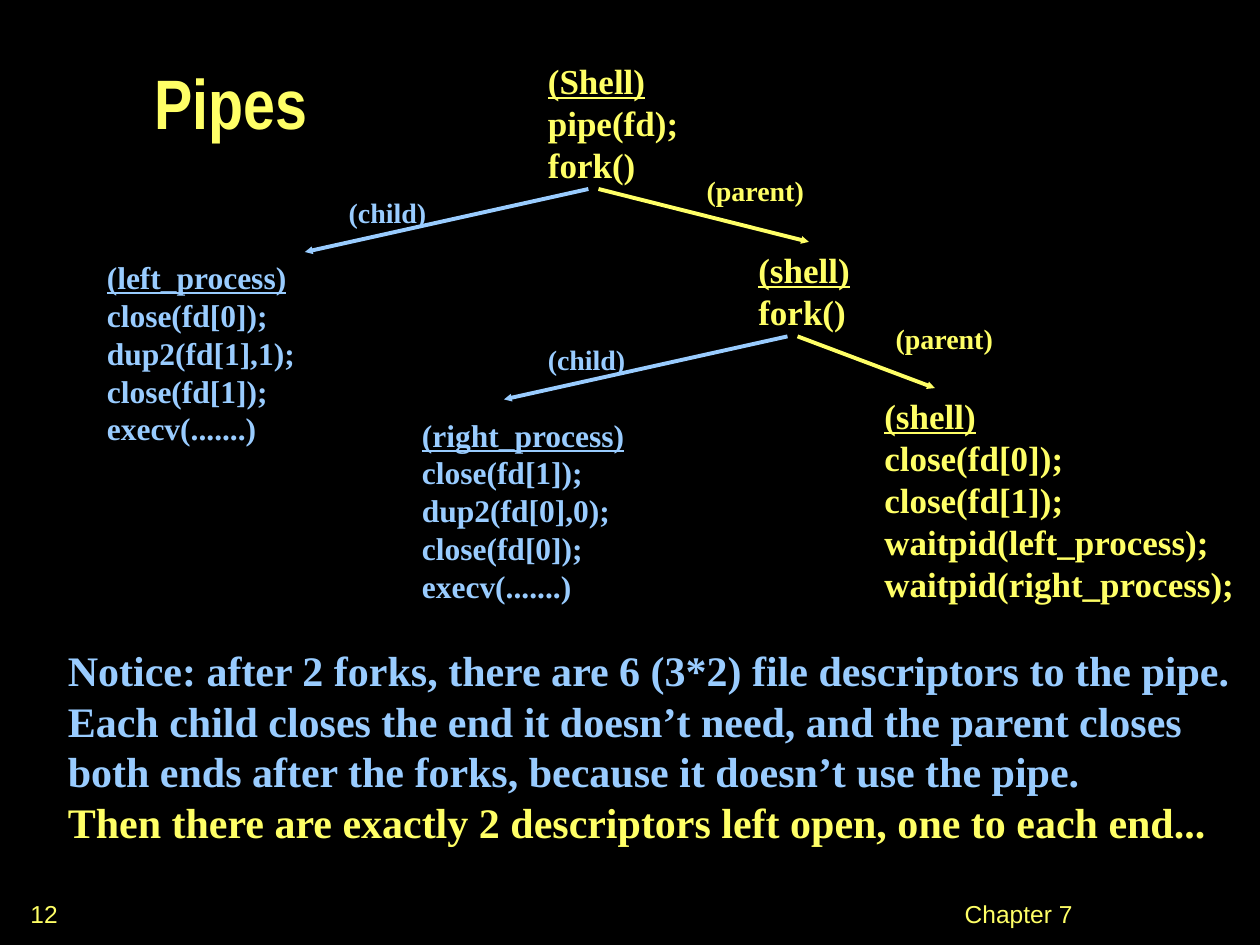
"""Build the Pipes slide: a fork tree of shell processes sharing one pipe."""
from lxml import etree
from pptx import Presentation
from pptx.dml.color import RGBColor
from pptx.enum.shapes import MSO_CONNECTOR
from pptx.enum.text import MSO_ANCHOR, MSO_AUTO_SIZE, PP_ALIGN
from pptx.oxml.ns import qn
from pptx.util import Inches, Pt

STRAIGHT = MSO_CONNECTOR.STRAIGHT
MIDDLE, TOP = MSO_ANCHOR.MIDDLE, MSO_ANCHOR.TOP
LEFT, CENTER = PP_ALIGN.LEFT, PP_ALIGN.CENTER
GROW, FIXED = MSO_AUTO_SIZE.SHAPE_TO_FIT_TEXT, MSO_AUTO_SIZE.NONE

COLORS = {"background": "000000", "parent": "FFFF66", "child": "99CCFF"}
SERIF = "Times New Roman"
FORMATS = {
    "title": {"name": "Arial Narrow", "size": Pt(40), "bold": True},
    "parent": {"name": SERIF, "size": Pt(20), "bold": True},
    "child": {"name": SERIF, "size": Pt(18), "bold": True},
    "branch": {"name": SERIF, "size": Pt(16), "bold": True},
    "notice": {"name": SERIF, "size": Pt(24), "bold": True},
    "footer": {"name": "Arial", "size": Pt(14), "bold": False},
}


def add_text(box, lines, style, role, align=LEFT, anchor=TOP, fit=GROW):
    frame = slide.shapes.add_textbox(*map(Inches, box)).text_frame
    frame.word_wrap = True
    frame.auto_size = fit
    frame.vertical_anchor = anchor
    frame.text = "\n".join(lines)
    for paragraph in frame.paragraphs:
        paragraph.alignment = align
        for run in paragraph.runs:
            for attribute, value in FORMATS[style].items():
                setattr(run.font, attribute, value)
            run.font.color.rgb = RGBColor.from_string(COLORS[role])
    return frame


prs = Presentation()
prs.slide_width, prs.slide_height = Inches(10), Inches(7.5)
slide = prs.slides.add_slide(prs.slide_layouts[6])
slide.background.fill.solid()
slide.background.fill.fore_color.rgb = RGBColor.from_string(COLORS["background"])

title = add_text((1.13, 0.36, 8.62, 1.05), ["Pipes"], "title", "parent",
                 anchor=MIDDLE, fit=FIXED)
title.paragraphs[0].line_spacing = 0.7

processes = [
    ((4.25, 0.42, 1.3, 1.1), "parent", ["(Shell)", "pipe(fd);", "fork()"]),
    ((0.75, 2, 1.77, 1.6), "child",
     ["(left_process)", "close(fd[0]);", "dup2(fd[1],1);", "close(fd[1]);",
      "execv(.......)"]),
    ((5.92, 1.92, 1, 0.77), "parent", ["(shell)", "fork()"]),
    ((3.25, 3.25, 1.88, 1.6), "child",
     ["(right_process)", "close(fd[1]);", "dup2(fd[0],0);", "close(fd[0]);",
      "execv(.......)"]),
    ((6.92, 3.08, 3.06, 1.77), "parent",
     ["(shell)", "close(fd[0]);", "close(fd[1]);", "waitpid(left_process);",
      "waitpid(right_process);"]),
]
for box, role, lines in processes:
    process = add_text(box, lines, role, role)
    process.paragraphs[0].runs[0].font.underline = True

branches = [
    ("child", (4.67, 1.5, 2.42, 2), (2.62, 1.5, 0.91, 0.37)),
    ("parent", (4.75, 1.5, 6.42, 1.92), (5.46, 1.33, 1.07, 0.37)),
    ("child", (6.25, 2.67, 4, 3.17), (4.2, 2.67, 0.91, 0.37)),
    ("parent", (6.33, 2.67, 7.42, 3.08), (6.96, 2.5, 1.07, 0.37)),
]
for role, ends, box in branches:
    arrow = slide.shapes.add_connector(STRAIGHT, *map(Inches, ends))
    arrow.line.color.rgb = RGBColor.from_string(COLORS[role])
    arrow.line.width = Pt(2.25)
    properties = arrow.line._get_or_add_ln()
    etree.SubElement(properties, qn("a:tailEnd"), type="triangle", w="sm", len="sm")
    etree.SubElement(arrow._element.spPr, qn("a:effectLst"))
    add_text(box, [f"({role})"], "branch", role, CENTER)

notice = add_text((0.44, 5.07, 9.5, 1.7), [
    "Notice: after 2 forks, there are 6 (3*2) file descriptors to the pipe.",
    "Each child closes the end it doesn’t need, and the parent closes",
    "both ends after the forks, because it doesn’t use the pipe.",
    "Then there are exactly 2 descriptors left open, one to each end...",
], "notice", "child")
conclusion = notice.paragraphs[-1].runs[0]
conclusion.font.color.rgb = RGBColor.from_string(COLORS["parent"])

for box, label in [((6.42, 7, 3.33, 0.5), "Chapter 7"), ((0, 7, 0.7, 0.5), "12")]:
    add_text(box, [label], "footer", "parent", CENTER, MIDDLE, FIXED)

prs.save("out.pptx")
